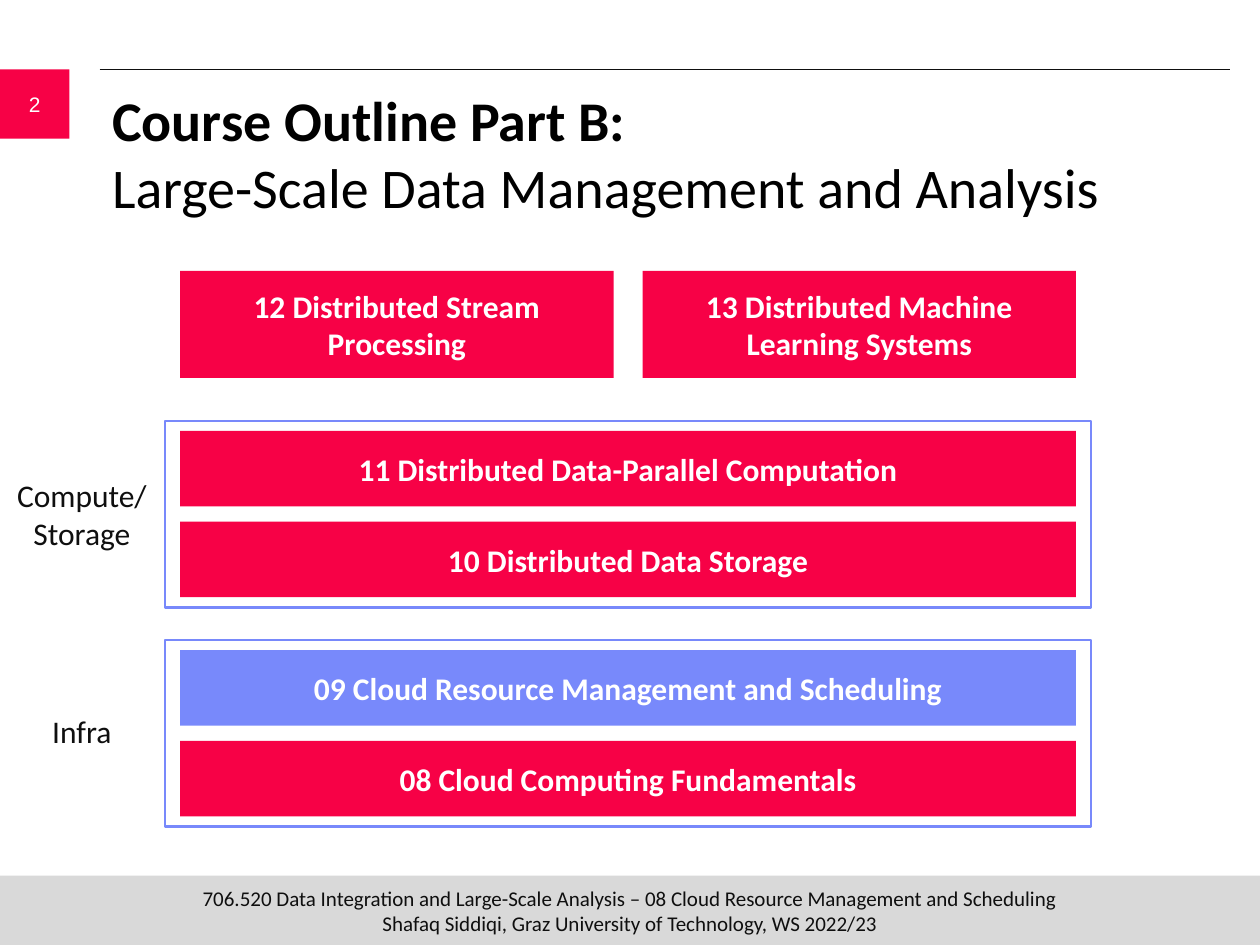
from pptx import Presentation
from pptx.dml.color import RGBColor
from pptx.enum.shapes import MSO_CONNECTOR, MSO_SHAPE
from pptx.enum.text import MSO_ANCHOR, MSO_AUTO_SIZE, PP_ALIGN
from pptx.oxml.ns import qn
from pptx.util import Inches, Pt
from lxml import etree

RECTANGLE = MSO_SHAPE.RECTANGLE
STRAIGHT = MSO_CONNECTOR.STRAIGHT
TOP, MIDDLE = MSO_ANCHOR.TOP, MSO_ANCHOR.MIDDLE
NO_AUTOSIZE, GROW = MSO_AUTO_SIZE.NONE, MSO_AUTO_SIZE.SHAPE_TO_FIT_TEXT
LEFT, CENTER = PP_ALIGN.LEFT, PP_ALIGN.CENTER

RED, BLUE, GRAY = "F70146", "7889FB", "D9D9D9"
WHITE, INK, BLACK = "FFFFFF", "0F0F0F", "000000"


def color(hex_string):
    return RGBColor.from_string(hex_string)


def add_box(left, top, width, height, fill=None, line=None, text="",
            size=18, font="Calibri", ink=WHITE, bold=False):
    """Add a rectangle with optional fill, outline and centred text."""
    box = slide.shapes.add_shape(RECTANGLE, Inches(left), Inches(top),
                                 Inches(width), Inches(height))
    box.shadow.inherit = False
    if fill:
        box.fill.solid()
        box.fill.fore_color.rgb = color(fill)
    else:
        box.fill.background()
    if line:
        box.line.color.rgb = color(line)
        box.line.width = Pt(1.5)
    else:
        box.line.fill.background()
    frame = box.text_frame
    frame.word_wrap = True
    frame.vertical_anchor = MIDDLE
    if text:
        para = frame.paragraphs[0]
        para.text = text
        para.alignment = CENTER
        for span in para.runs:
            span.font.size, span.font.name = Pt(size), font
            span.font.bold, span.font.color.rgb = bold, color(ink)
    return box


deck = Presentation()
deck.slide_width, deck.slide_height = Inches(10), Inches(7.5)
slide = deck.slides.add_slide(deck.slide_layouts[5])

# Footer, header rule and page number
footer = add_box(
    0, 6.95, 10, 0.55, GRAY, size=12, ink=INK,
    text="706.520 Data Integration and Large-Scale Analysis – "
         "08 Cloud Resource Management and Scheduling\n"
         "Shafaq Siddiqi, Graz University of Technology, WS 2022/23")
footer.text_frame.margin_top = footer.text_frame.margin_bottom = 0

rule = slide.shapes.add_connector(STRAIGHT, Inches(0.79), Inches(0.55),
                                  Inches(9.76), Inches(0.55))
rule.line.color.rgb = color(INK)
rule.line.width = Pt(0.5)
etree.SubElement(rule._element.spPr, qn("a:effectLst"))

add_box(0, 0.55, 0.55, 0.55, RED, text="2", size=12, font="Arial")

# Title
title = slide.shapes.title
title.left, title.top = Inches(0.79), Inches(0.63)
title.width, title.height = Inches(8.96), Inches(0.83)
title.text_frame.auto_size = NO_AUTOSIZE
title.text_frame.vertical_anchor = TOP
para = title.text_frame.paragraphs[0]
para.text = "Course Outline Part B:\nLarge-Scale Data Management and Analysis"
para.alignment = LEFT
for span, bold in zip(para.runs, (True, False)):
    span.font.size, span.font.name = Pt(32), "Calibri"
    span.font.bold, span.font.color.rgb = bold, color(BLACK)

# Lecture boxes: left, top, width, height, fill, text
lectures = [
    (1.43, 5.88, 7.11, 0.6, RED, "08 Cloud Computing Fundamentals"),
    (1.43, 5.16, 7.11, 0.6, BLUE, "09 Cloud Resource Management and Scheduling"),
    (1.43, 4.14, 7.11, 0.6, RED, "10 Distributed Data Storage"),
    (1.43, 3.42, 7.11, 0.6, RED, "11 Distributed Data-Parallel Computation"),
    (1.43, 2.15, 3.44, 0.85, RED, "12 Distributed Stream\nProcessing"),
    (5.1, 2.15, 3.44, 0.85, RED, "13 Distributed Machine Learning Systems"),
]
for left, top, width, height, fill, text in lectures:
    add_box(left, top, width, height, fill, text=text, bold=True)

# Group frames
for top in (3.34, 5.08):
    add_box(1.31, top, 7.35, 1.48, line=BLUE)

# Group labels
for top, height, text in ((3.73, 0.71, "Compute/\nStorage"), (5.6, 0.4, "Infra")):
    label = slide.shapes.add_textbox(Inches(0.02), Inches(top),
                                     Inches(1.26), Inches(height))
    frame = label.text_frame
    frame.word_wrap = True
    frame.auto_size = GROW
    frame.margin_left = frame.margin_right = 0
    para = frame.paragraphs[0]
    para.text = text
    para.alignment = CENTER
    for span in para.runs:
        span.font.size, span.font.name = Pt(18), "Calibri"
        span.font.color.rgb = color(INK)

deck.save("out.pptx")
